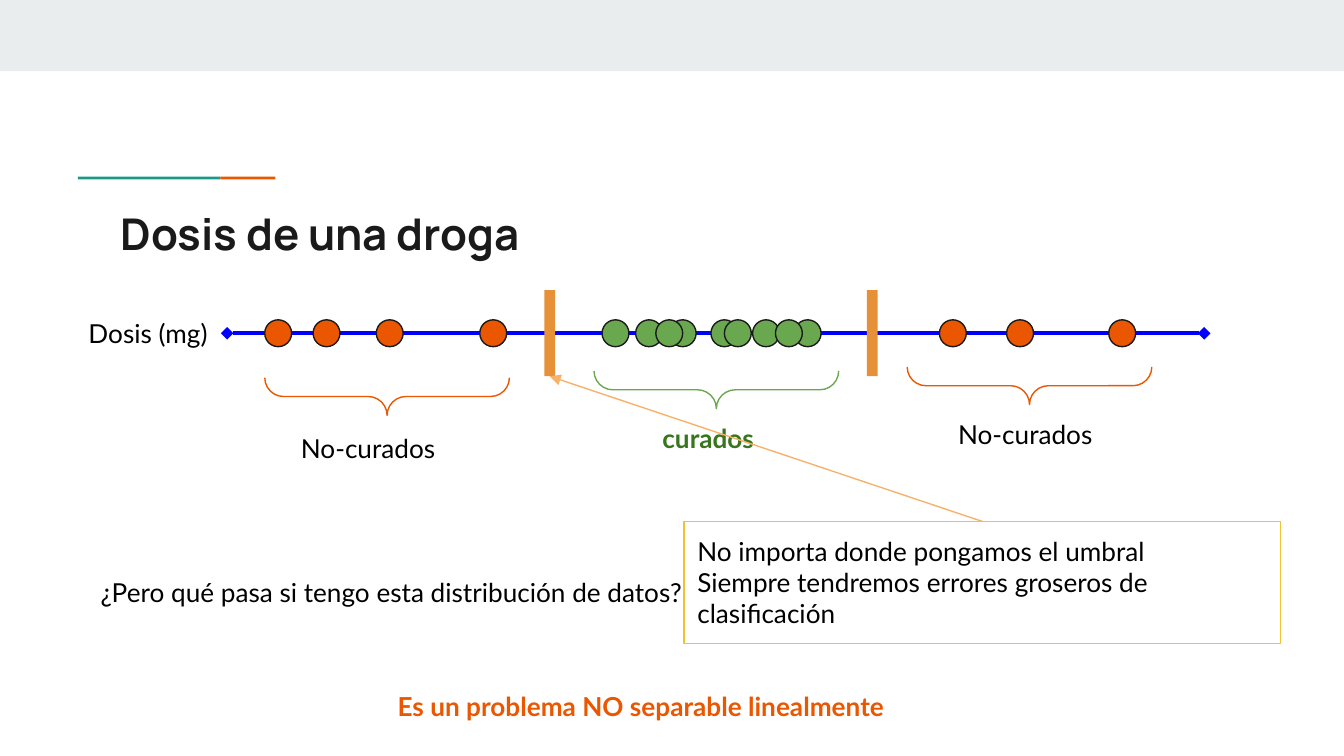
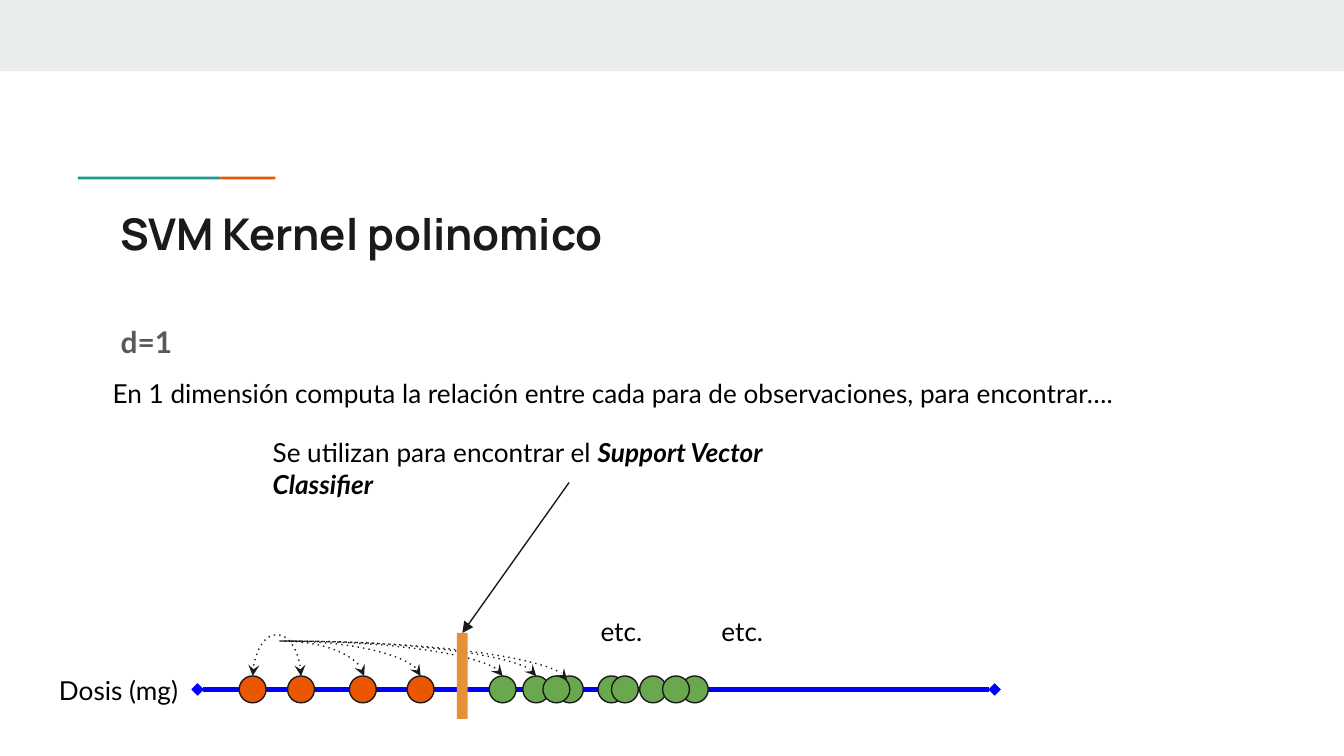
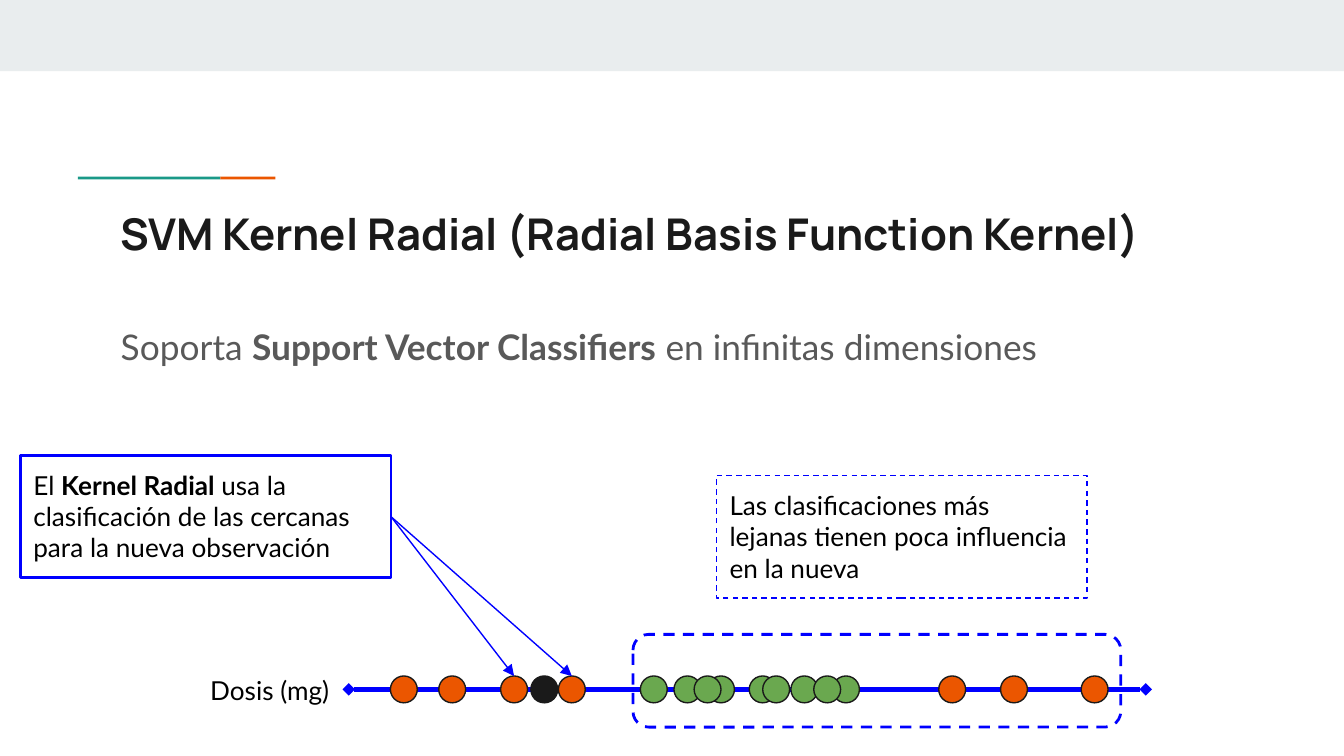
from dataclasses import dataclass

from lxml.etree import SubElement
from pptx import Presentation
from pptx.dml.color import RGBColor
from pptx.enum.shapes import MSO_CONNECTOR, MSO_SHAPE
from pptx.enum.text import MSO_ANCHOR, MSO_AUTO_SIZE
from pptx.oxml.ns import qn
from pptx.util import Inches, Pt


@dataclass(frozen=True)
class Theme:
    band: str = "E9EDEE"
    teal: str = "1A9988"
    orange: str = "EB5600"
    green: str = "6AA84F"
    dark_green: str = "38761D"
    threshold: str = "E69138"
    pointer: str = "F6B26B"
    yellow: str = "F1C232"
    blue: str = "0000FF"
    ink: str = "1A1A1A"
    gray: str = "595959"
    black: str = "000000"
    title_font: str = "Manrope"
    body_font: str = "Lato"
    title_size: float = 23.4
    lead_size: float = 18.9
    sub_size: float = 16
    text_size: float = 14
    thin: float = 0.75
    medium: float = 1.5
    thick: float = 2.25


T = Theme()
WIDTH, HEIGHT = Inches(10), Inches(5.625)
COLUMNS = 100
DOT = 2
BAR_W, BAR_H = 0.8, 6.4
BRACE_W, BRACE_H = 18.2, 2.8
NEAR_DOSES = (3.1, 6.7, 11.3, 15.6)
FAR_DOSES = (54.5, 48.5, 43.9)
CURED_STEPS = (0, 2.5, 5, 8.1, 11.2, 9.1, 4, 14.3, 12.9)
BOLD = {"bold": True}


def grid(*cells):
    return [round(c * WIDTH / COLUMNS) for c in cells]


def rgb(color):
    return RGBColor.from_string(color)


def style_line(line, color, width, dash=None, head=None, tail=None):
    line.color.rgb = rgb(color)
    line.width = Pt(width)
    ln = line._get_or_add_ln()
    for tag, key, value in (("a:prstDash", "val", dash), ("a:headEnd", "type", head),
                            ("a:tailEnd", "type", tail)):
        if value:
            SubElement(ln, qn(tag)).set(key, value)


def add_shape(s, kind, x, y, w, h, fill=None, line=None):
    sp = s.shapes.add_shape(kind, *grid(x, y, w, h))
    sp.shadow.inherit = False
    if fill:
        sp.fill.solid()
        sp.fill.fore_color.rgb = rgb(fill)
    else:
        sp.fill.background()
    if line:
        style_line(sp.line, *line)
    else:
        sp.line.fill.background()
    return sp


def add_text(s, x, y, w, h, *paragraphs, size=T.text_size, font=T.body_font,
             color=T.black, border=None, grow=True, spacing=None):
    sp = s.shapes.add_textbox(*grid(x, y, w, h))
    tf = sp.text_frame
    inset, = grid(1)
    frame = {"word_wrap": True, "vertical_anchor": MSO_ANCHOR.TOP,
             "auto_size": MSO_AUTO_SIZE.SHAPE_TO_FIT_TEXT if grow else MSO_AUTO_SIZE.NONE,
             "margin_left": inset, "margin_right": inset,
             "margin_top": inset, "margin_bottom": inset}
    for name, value in frame.items():
        setattr(tf, name, value)
    for i, runs in enumerate(paragraphs):
        p = tf.add_paragraph() if i else tf.paragraphs[0]
        for name, value in (spacing or {}).items():
            setattr(p, name, value)
        for text, extra in runs:
            r = p.add_run()
            r.text = text
            for name, value in {"size": Pt(size), "name": font, **extra}.items():
                setattr(r.font, name, value)
            r.font.color.rgb = rgb(color)
    if border:
        style_line(sp.line, *border)
    return sp


def add_line(s, start, end, *style, kind=MSO_CONNECTOR.STRAIGHT, **ends):
    c = s.shapes.add_connector(kind, *grid(*start, *end))
    style_line(c.line, *style, **ends)
    SubElement(c._element.spPr, qn("a:effectLst"))
    return c


def add_arrow(s, source, source_side, target, target_side, color):
    c = add_line(s, (0, 0), (1, 1), color, T.thin, tail="triangle")
    c.begin_connect(source, source_side)
    c.end_connect(target, target_side)


def add_curve(s, start, end, **ends):
    c = add_line(s, start, end, T.ink, T.thin, "dot", kind=MSO_CONNECTOR.CURVE,
                 tail="stealth", **ends)
    return c._element.spPr


def add_bend(s, start, end):
    add_curve(s, start, end).find(qn("a:prstGeom")).set("prst", "curvedConnector2")


def add_arch(s, left, right, y, rise):
    middle, half, sliver = (left + right) / 2, (right - left) / 2, 0.01
    spPr = add_curve(s, (middle, y - half), (middle + sliver, y + half), head="stealth")
    xfrm = spPr.find(qn("a:xfrm"))
    xfrm.set("rot", "16200000")
    xfrm.set("flipH", "1")
    guides = spPr.find(qn("a:prstGeom")).find(qn("a:avLst"))
    gd = SubElement(guides, qn("a:gd"))
    gd.set("name", "adj1")
    gd.set("fmla", f"val {round(-rise / sliver * 100000)}")


def add_brace(s, x, y, color):
    shift = (BRACE_W - BRACE_H) / 2
    sp = add_shape(s, MSO_SHAPE.LEFT_BRACE, x + shift, y - shift, BRACE_H, BRACE_W,
                   line=(color, T.thin))
    sp.adjustments[0] = sp.adjustments[1] = 0.5
    sp.rotation = 270


def add_threshold(s, x, y):
    return add_shape(s, MSO_SHAPE.RECTANGLE, x, y, BAR_W, BAR_H, T.threshold)


def add_dot(s, x, y, color):
    return add_shape(s, MSO_SHAPE.OVAL, x, y - DOT / 2, DOT, DOT, color, (T.ink, T.thin))


def add_dose_axis(s, x, y, length, sick, cured):
    add_line(s, (x, y), (x + length, y), T.blue, T.thick, head="diamond", tail="diamond")
    add_text(s, x - 11.3, y - 2.15, 11.2, 4.4, [("Dosis (mg)", {})])
    dots = [add_dot(s, x + d, y, T.orange) for d in sick]
    for step in CURED_STEPS:
        add_dot(s, x + cured + step, y, T.green)
    return dots


def add_slide(prs, title):
    s = prs.slides.add_slide(prs.slide_layouts[6])
    for x, y, w, h, color in ((0, 0, COLUMNS, 5.3, T.band), (5.8, 13.15, 10.6, 0.2, T.teal),
                              (16.4, 13.15, 4.1, 0.2, T.orange)):
        add_shape(s, MSO_SHAPE.RECTANGLE, x, y, w, h, color)
    add_text(s, 8, 14.4, 84.1, 5.9, [(title, BOLD)], size=T.title_size,
             font=T.title_font, color=T.ink, grow=False)
    return s


def add_lead(s, w, h, runs, size):
    add_text(s, 8, 22.7, w, h, runs, size=size, color=T.gray, grow=False,
             spacing={"line_spacing": 1.15, "space_after": Pt(12)})


def build_dose(prs):
    s = add_slide(prs, "Dosis de una droga")
    add_dose_axis(s, 16.9, 24.8, 72.7, (2.8, 6.4, 11.1, 18.8, 65.6, 58, 53), 27.9)
    add_text(s, 6.5, 41.9, 48.4, 4.4,
             [("¿Pero qué pasa si tengo esta distribución de datos?", {})])
    for x, y, color in ((19.7, 28.1, T.orange), (67.5, 27.3, T.orange), (44.2, 27.6, T.green)):
        add_brace(s, x, y, color)
    for x, y in ((21.4, 31.2), (70.3, 30.1)):
        add_text(s, x, y, 14.8, 4.4, [("No-curados", {})])
    add_text(s, 48.3, 30.4, 9.8, 4.4, [("curados", BOLD)], color=T.dark_green)
    low, _ = [add_threshold(s, x, 21.6) for x in (40.5, 64.5)]
    note = add_text(s, 50.9, 38.8, 44.4, 9.1,
                    [("No importa donde pongamos el umbral", {})],
                    [("Siempre tendremos errores groseros de clasificación", {})],
                    border=(T.yellow, T.thin))
    add_arrow(s, note, 0, low, 2, T.pointer)
    add_text(s, 28.6, 50.4, 38.6, 4.4,
             [("Es un problema NO separable linealmente", BOLD)], color=T.orange)


def build_polynomial(prs):
    s = add_slide(prs, "SVM Kernel polinomico")
    add_lead(s, 9.8, 5, [("d=1", BOLD)], T.sub_size)
    y = 51.3
    add_dose_axis(s, 14.7, y, 59.3, NEAR_DOSES, 21.7)
    top = y - DOT / 2
    add_arch(s, 18.8, 22.4, top, 2.6)
    for x, end_x, end_y in ((20.8, 27.1, top), (20.9, 31.3, top), (21, 37.4, top),
                            (21.2, 39.9, top), (21.1, 42.2, top + 0.3)):
        add_bend(s, (x, 47.7), (end_x, end_y))
    for x in (43.7, 52.7):
        add_text(s, x, 44.8, 6.3, 4.4, [("etc.", {})])
    add_text(s, 7.4, 27.1, 85.3, 4.4,
             [("En 1 dimensión computa la relación entre cada para de observaciones, "
               "para encontrar….", {})])
    bar = add_threshold(s, 34, 47.1)
    note = add_text(s, 19.3, 31.5, 46.1, 4.4,
                    [("Se utilizan para encontrar el ", {}),
                     ("Support Vector Classifier", {"bold": True, "italic": True})])
    add_arrow(s, note, 2, bar, 0, T.ink)


def build_radial(prs):
    s = add_slide(prs, "SVM Kernel Radial (Radial Basis Function Kernel)")
    add_lead(s, 72.9, 5.9, [("Soporta ", {}), ("Support Vector Classifiers", BOLD),
                            (" en infinitas dimensiones", {})], T.lead_size)
    y = 51.3
    dots = add_dose_axis(s, 25.95, y, 59.3, NEAR_DOSES + FAR_DOSES, 21.7)
    add_dot(s, 39.5, y, T.ink)
    note = add_text(s, 1.5, 33.9, 27.6, 9.1,
                    [("El ", {}), ("Kernel Radial ", BOLD),
                     ("usa la clasificación de las cercanas para la nueva observación", {})],
                    border=(T.blue, T.medium))
    for dot in dots[2:4]:
        add_arrow(s, note, 3, dot, 0, T.blue)
    far = add_shape(s, MSO_SHAPE.ROUNDED_RECTANGLE, 47.1, 47.2, 36.3, 6.9,
                    line=(T.blue, T.medium, "dash"))
    far.adjustments[0] = 0.17
    add_text(s, 53.3, 35.4, 27.6, 9.1,
             [("Las clasificaciones más lejanas tienen poca influencia en la nueva", {})],
             border=(T.blue, T.thin, "dash"))


def main():
    prs = Presentation()
    prs.slide_width, prs.slide_height = WIDTH, HEIGHT
    for build in (build_dose, build_polynomial, build_radial):
        build(prs)
    prs.save("out.pptx")


if __name__ == "__main__":
    main()
